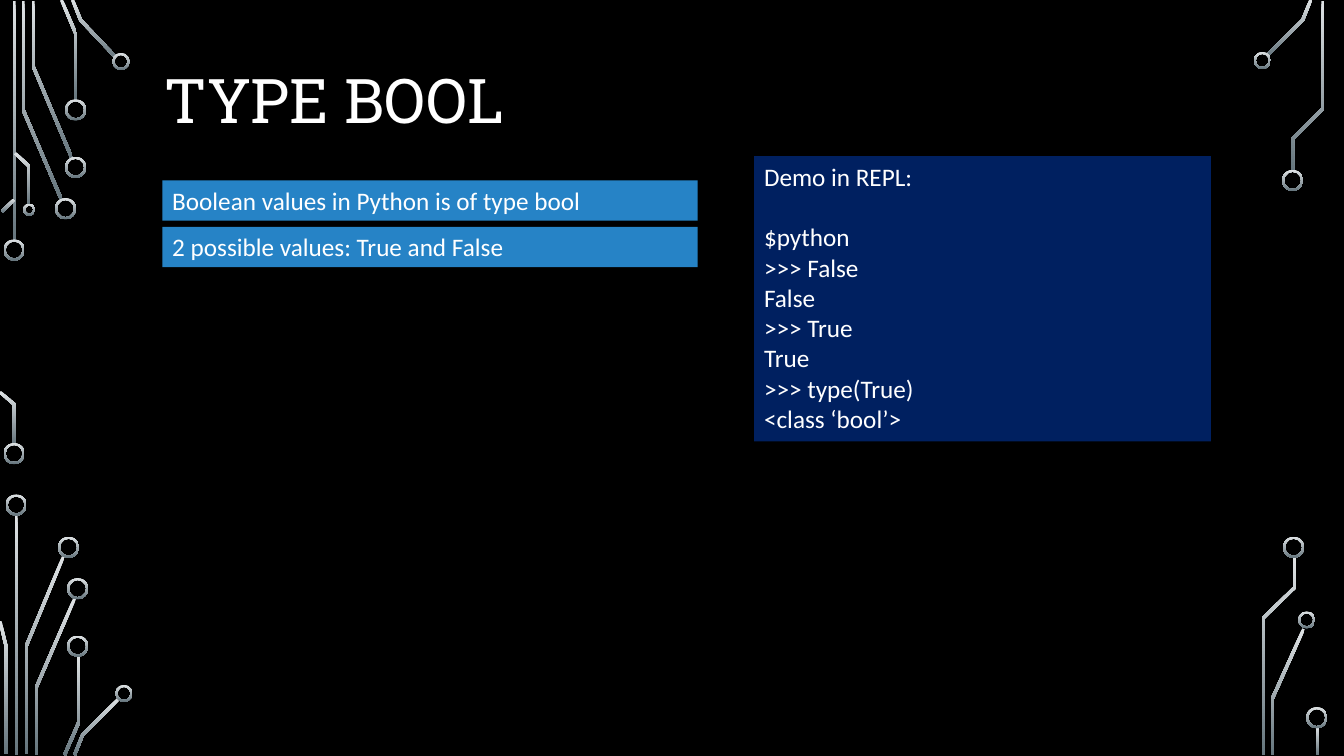
import math

from pptx import Presentation
from pptx.dml.color import RGBColor
from pptx.enum.shapes import MSO_SHAPE
from pptx.enum.text import MSO_ANCHOR, MSO_AUTO_SIZE, PP_ALIGN
from pptx.util import Inches, Pt

RECTANGLE, DONUT = MSO_SHAPE.RECTANGLE, MSO_SHAPE.DONUT
TOP, MIDDLE = MSO_ANCHOR.TOP, MSO_ANCHOR.MIDDLE
LEFT = PP_ALIGN.LEFT
NO_AUTOFIT = MSO_AUTO_SIZE.NONE

COLORS = {
    "background": "000000",
    "text": "FFFFFF",
    "fact": "2683C6",
    "demo": "002060",
    "circuit_light": "DFE3E5",
    "circuit_dark": "65757D",
}
TITLE = "TYPE BOOL"
FACTS = [
    "Boolean values in Python is of type bool",
    "2 possible values: True and False",
]
DEMO_HEADING = "Demo in REPL:"
DEMO_SESSION = [
    "$python",
    ">>> False",
    "False",
    ">>> True",
    "True",
    ">>> type(True)",
    "<class ‘bool’>",
]

# Centre lines of the circuit traces, in inches
TRACES = [
    [(0.14, 0.01), (0.14, 2.4)],
    [(0.23, 0.01), (0.23, 1.09), (0.61, 1.98)],
    [(0.33, 0.01), (0.33, 0.66), (0.71, 1.56)],
    [(0.61, 0), (0.75, 0.33), (0.75, 1)],
    [(0.72, 0), (0.8, 0.2), (1.15, 0.57)],
    [(0.02, 2.1), (0.14, 1.98)],
    [(0, 3.89), (0.14, 4.01), (0.14, 4.41)],
    [(0.15, 1.52), (0.29, 1.65), (0.29, 2.03)],
    [(0.16, 5.1), (0.16, 7.49)],
    [(0.26, 7.48), (0.26, 6.41), (0.63, 5.52)],
    [(0, 6.16), (0.06, 6.41), (0.06, 7.48)],
    [(0.36, 7.49), (0.36, 6.82), (0.74, 5.94)],
    [(0.64, 7.49), (0.78, 7.17), (0.78, 6.5)],
    [(0.74, 7.49), (0.82, 7.29), (1.18, 6.93)],
    [(12.57, 0.55), (12.92, 0.2), (13, 0)],
    [(12.62, 7.49), (12.62, 6.93), (12.93, 6.24)],
    [(12.82, 1.69), (12.82, 1.38), (13.12, 1.08), (13.12, 0.01)],
    [(12.84, 5.52), (12.84, 5.83), (12.53, 6.13), (12.53, 7.49)],
    [(13.07, 7.21), (13.07, 7.49)],
]
TRACE_WIDTH = 0.03

# Ring diameter: ring centres, in inches
RINGS = {
    0.21: [
        (0.14, 2.48), (0.14, 4.5), (0.65, 2.07), (0.75, 1.66), (0.75, 1.09),
        (0.16, 5.01), (0.68, 5.43), (0.77, 5.84), (0.77, 6.41),
        (12.82, 1.79), (12.83, 5.43), (13.06, 7.12),
    ],
    0.17: [(1.2, 0.61), (1.23, 6.88), (12.52, 0.6), (12.96, 6.15)],
    0.12: [(0.29, 2.08)],
}
RING_THICKNESS = 0.02


def color(name):
    return RGBColor.from_string(COLORS[name])


def style_circuit(shape):
    shape.shadow.inherit = False
    shape.line.fill.background()
    shape.fill.gradient()
    shape.fill.gradient_angle = 270
    for stop, name in zip(shape.fill.gradient_stops, ("circuit_light", "circuit_dark")):
        stop.color.rgb = color(name)


def trace_edge(points, offset):
    """Return the line parallel to points at the given distance, with mitred corners."""
    normals = []
    for (x1, y1), (x2, y2) in zip(points, points[1:]):
        length = math.hypot(x2 - x1, y2 - y1)
        normals.append(((y1 - y2) / length, (x2 - x1) / length))
    before, after = normals[:1] + normals, normals + normals[-1:]
    edge = []
    for (x, y), (ax, ay), (bx, by) in zip(points, before, after):
        reach = offset / (1 + ax * bx + ay * by)
        edge.append((Inches(x + reach * (ax + bx)), Inches(y + reach * (ay + by))))
    return edge


def add_trace(slide, points):
    half = TRACE_WIDTH / 2
    outline = trace_edge(points, half) + trace_edge(points, -half)[::-1]
    builder = slide.shapes.build_freeform(*outline[0])
    builder.add_line_segments(outline[1:], close=True)
    style_circuit(builder.convert_to_shape())


def add_ring(slide, center, diameter):
    left, top = (Inches(value - diameter / 2) for value in center)
    ring = slide.shapes.add_shape(DONUT, left, top, Inches(diameter), Inches(diameter))
    ring.adjustments[0] = RING_THICKNESS / diameter
    style_circuit(ring)


def add_text_panel(slide, box, fill, lines):
    panel = slide.shapes.add_shape(RECTANGLE, *map(Inches, box))
    panel.shadow.inherit = False
    panel.fill.solid()
    panel.fill.fore_color.rgb = color(fill)
    panel.line.fill.background()
    frame = panel.text_frame
    frame.word_wrap = True
    frame.vertical_anchor = TOP
    frame.text = "\n".join(lines)
    for paragraph in frame.paragraphs:
        paragraph.alignment = LEFT
        format_font(paragraph, "Calibri", 18)
    return panel


def format_font(paragraph, name, size):
    paragraph.font.name = name
    paragraph.font.size = Pt(size)
    paragraph.font.color.rgb = color("text")


def add_title(slide):
    title = slide.shapes.title
    title.left, title.top, title.width, title.height = map(Inches, (1.53, 0.22, 10.83, 1.62))
    frame = title.text_frame
    frame.text = TITLE
    frame.word_wrap = True
    frame.auto_size = NO_AUTOFIT
    frame.vertical_anchor = MIDDLE
    paragraph = frame.paragraphs[0]
    paragraph.alignment = LEFT
    paragraph.line_spacing = 0.9
    format_font(paragraph, "Roboto Slab", 44)


def main():
    presentation = Presentation()
    presentation.slide_width = Inches(13.33)
    presentation.slide_height = Inches(7.5)
    slide = presentation.slides.add_slide(presentation.slide_layouts.get_by_name("Title Only"))
    slide.background.fill.solid()
    slide.background.fill.fore_color.rgb = color("background")

    for points in TRACES:
        add_trace(slide, points)
    for diameter, centers in RINGS.items():
        for center in centers:
            add_ring(slide, center, diameter)

    add_title(slide)
    demo = add_text_panel(
        slide, (7.48, 1.55, 4.53, 2.83), "demo", [DEMO_HEADING] + DEMO_SESSION
    )
    demo.text_frame.paragraphs[1].space_before = Pt(21.6)
    for row, fact in enumerate(FACTS):
        add_text_panel(slide, (1.61, 1.79 + 0.46 * row, 5.31, 0.4), "fact", [fact])

    presentation.save("out.pptx")


if __name__ == "__main__":
    main()
